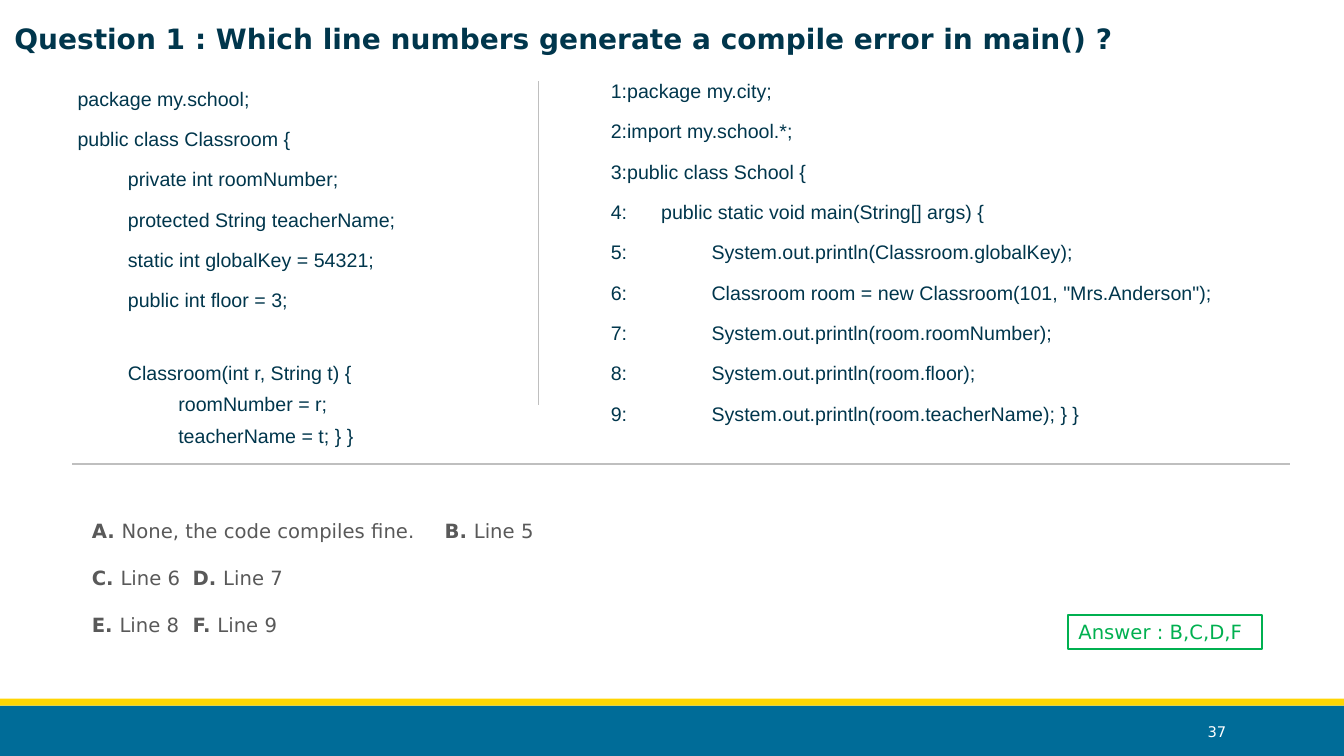
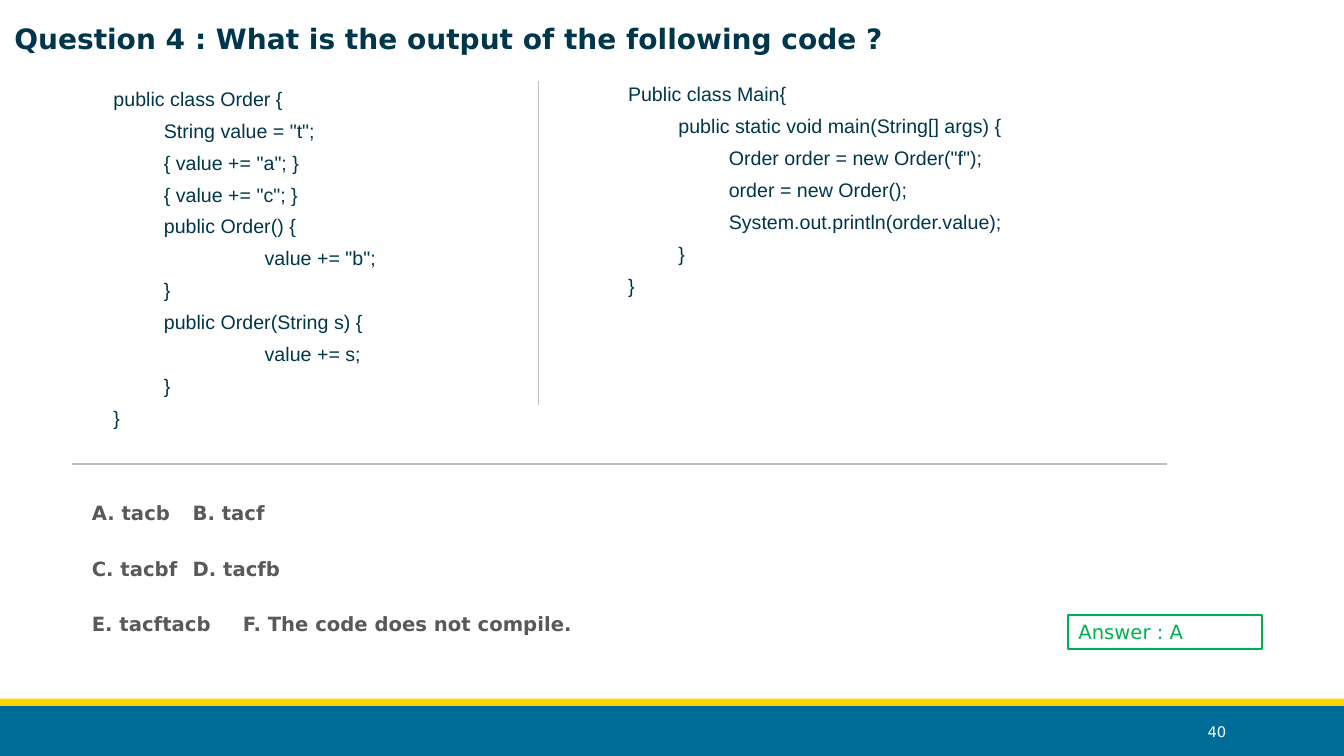
"""Build two quiz slides about Java code."""
from dataclasses import dataclass

import pptx
import pptx.dml.color
import pptx.enum.shapes
import pptx.enum.text
import pptx.oxml
import pptx.oxml.ns
import pptx.util
from lxml import etree

Pt = pptx.util.Pt
ALIGN = pptx.enum.text.PP_ALIGN
ANCHOR = pptx.enum.text.MSO_ANCHOR
RECTANGLE = pptx.enum.shapes.MSO_SHAPE.RECTANGLE
STRAIGHT = pptx.enum.shapes.MSO_CONNECTOR.STRAIGHT


@dataclass(frozen=True)
class Theme:
    """Colours, fonts and type sizes."""
    ink: str = "00364C"
    grey: str = "595959"
    rule: str = "BFBFBF"
    green: str = "00B050"
    blue: str = "006C98"
    yellow: str = "FFD503"
    white: str = "FFFFFF"
    sans: str = "DejaVu Sans"
    code: str = "Arial"
    title_size: float = 20
    body_size: float = 14
    number_size: float = 10.5


@dataclass(frozen=True)
class Box:
    """A rectangle in points."""
    left: float
    top: float
    width: float
    height: float

    def lengths(self):
        """Return the four sides as lengths."""
        return Pt(self.left), Pt(self.top), Pt(self.width), Pt(self.height)


THEME = Theme()
PAGE = Box(0, 0, 960, 540)
BANDS = ((Box(0, 504, 960, 36), THEME.blue), (Box(0, 499, 960, 5), THEME.yellow))
TITLE = Box(3, 12, 831, 32)
DIVIDER = Box(384.5, 58, 0, 231)
ANSWER = Box(763.2, 439.2, 138.5, 24.7)
NUMBER = Box(780, 508.5, 103, 28.5)
INDENT = 36


def rgb(value):
    """Return a colour from its hex digits."""
    return pptx.dml.color.RGBColor.from_string(value)


def add_span(para, text, *, size=THEME.body_size, colour=THEME.ink, font=THEME.sans, bold=False):
    """Add formatted text to a paragraph."""
    span = para.add_run()
    span.text = text
    span.font.size = Pt(size)
    span.font.name = font
    span.font.bold = bold
    span.font.color.rgb = rgb(colour)


def next_para(frame, *, gap=0, spacing=None, indent=0, tab=None):
    """Return a fresh paragraph with its spacing, indent and tab stop."""
    para = frame.paragraphs[0]
    if para.runs:
        para = frame.add_paragraph()
    para.space_before = Pt(gap)
    para.line_spacing = spacing
    properties = para._p.get_or_add_pPr()
    properties.set("marL", str(Pt(indent)))
    properties.set("indent", "0")
    if tab:
        stops = etree.SubElement(properties, pptx.oxml.ns.qn("a:tabLst"))
        etree.SubElement(stops, pptx.oxml.ns.qn("a:tab"), pos=str(Pt(tab)), algn="l")
    return para


def prepare(frame, anchor=ANCHOR.TOP):
    """Give a text frame the common insets, wrapping and anchor."""
    frame.word_wrap = True
    frame.auto_size = pptx.enum.text.MSO_AUTO_SIZE.NONE
    frame.vertical_anchor = anchor
    frame.margin_left = frame.margin_right = Pt(7.2)
    frame.margin_top = frame.margin_bottom = Pt(3.6)
    return frame


def add_frame(page, box, anchor=ANCHOR.TOP):
    """Add a text box and return its frame."""
    return prepare(page.shapes.add_textbox(*box.lengths()).text_frame, anchor)


def add_rectangle(page, box, fill=None, line=None):
    """Add a flat rectangle."""
    shape = page.shapes.add_shape(RECTANGLE, *box.lengths())
    shape.shadow.inherit = False
    if fill:
        shape.fill.solid()
        shape.fill.fore_color.rgb = rgb(fill)
    else:
        shape.fill.background()
    if line:
        shape.line.color.rgb = rgb(line)
        shape.line.width = Pt(1.5)
    else:
        shape.line.fill.background()
    return shape


def add_rule(page, box, width):
    """Draw a grey line from corner to corner of a box."""
    left, top, across, down = box.lengths()
    rule = page.shapes.add_connector(STRAIGHT, left, top, left + across, top + down)
    rule.line.color.rgb = rgb(THEME.rule)
    rule.line.width = Pt(width)
    etree.SubElement(rule.element.spPr, pptx.oxml.ns.qn("a:effectLst"))


def add_bands(page):
    """Place the bottom bands on the layout that the pages share."""
    tree = page.slide_layout.shapes.element
    for position, (box, colour) in enumerate(BANDS, start=2):
        tree.insert(position, add_rectangle(page, box, fill=colour).element)


def add_title(page, text):
    """Move, format and fill the title placeholder."""
    title = page.shapes.title
    title.left, title.top, title.width, title.height = TITLE.lengths()
    para = next_para(prepare(title.text_frame))
    para.alignment = ALIGN.LEFT
    add_span(para, text, size=THEME.title_size, bold=True)


def add_code(page, box, lines, tab=None):
    """Write code lines given as level, text and gap above."""
    frame = add_frame(page, box)
    for level, text, gap in lines:
        para = next_para(frame, gap=gap, indent=level * INDENT, tab=tab)
        add_span(para, text, font=THEME.code)


def add_options(page, box, rows, gap=0, bold=False):
    """Write rows of two lettered options, the second at a tab stop."""
    frame = add_frame(page, box)
    letters = iter("ABCDEF")
    for index, (first, second, tab) in enumerate(rows):
        para = next_para(frame, gap=gap if index else 0, spacing=2.0, tab=tab)
        for text in (first + "\t", second):
            add_span(para, next(letters) + ". ", colour=THEME.grey, bold=True)
            add_span(para, text, colour=THEME.grey, bold=bold)


def add_answer(page, letters):
    """Add the framed answer."""
    frame = prepare(add_rectangle(page, ANSWER, line=THEME.green).text_frame)
    para = next_para(frame)
    para.alignment = ALIGN.LEFT
    add_span(para, "Answer : " + letters, colour=THEME.green)


def add_number(page, number):
    """Add the page number on the bottom band."""
    para = next_para(add_frame(page, NUMBER, ANCHOR.MIDDLE))
    para.alignment = ALIGN.RIGHT
    add_span(para, str(number), size=THEME.number_size, colour=THEME.white)


def add_question(deck, title, answer, number, rule_width):
    """Add a page with the parts that every question has."""
    page = deck.slides.add_slide(deck.slide_layouts.get_by_name("Title Only"))
    add_title(page, title)
    add_rule(page, DIVIDER, 1)
    add_rule(page, Box(51.5, 331.2, rule_width, 0), 1.5)
    add_answer(page, answer)
    add_number(page, number)
    return page


def add_access_question(deck):
    """Add the question on access between classes."""
    page = add_question(deck, "Question 1 : Which line numbers generate a compile error in main() ?",
                        "B,C,D,F", 37, 870)
    add_code(page, Box(48.3, 58.3, 330, 270), (
        (0, "package my.school;", 0),
        (0, "public class Classroom {", 12),
        (1, "private int roomNumber;", 12),
        (1, "protected String teacherName;", 12),
        (1, "static int globalKey = 54321;", 12),
        (1, "public int floor = 3;", 12),
        (1, "Classroom(int r, String t) {", 34.8),
        (2, "roomNumber = r;", 6),
        (2, "teacherName = t; } }", 6),
    ))
    statements = (
        "package my.city;",
        "import my.school.*;",
        "public class School {",
        "\tpublic static void main(String[] args) {",
        "\t\tSystem.out.println(Classroom.globalKey);",
        "\t\tClassroom room = new Classroom(101, \"Mrs.Anderson\");",
        "\t\tSystem.out.println(room.roomNumber);",
        "\t\tSystem.out.println(room.floor);",
        "\t\tSystem.out.println(room.teacherName); } }",
    )
    add_code(page, Box(429.2, 52.8, 528, 257), [
        (0, f"{line}:{text}", 12 if line > 1 else 0) for line, text in enumerate(statements, start=1)
    ])
    add_options(page, Box(58.5, 350.5, 692, 120), (
        ("None, the code compiles fine.", "Line 5", 432),
        ("Line 6", "Line 7", 576),
        ("Line 8", "Line 9", 576),
    ))
    return page


def add_order_question(deck):
    """Add the question on the order of initialisation."""
    page = add_question(deck, "Question 4 : What is the output of the following code ?", "A", 40, 782)
    order_class = (
        (0, "public class Order {"),
        (1, "String value = \"t\";"),
        (1, "{ value += \"a\"; }"),
        (1, "{ value += \"c\"; }"),
        (1, "public Order() {"),
        (3, "value += \"b\";"),
        (1, "}"),
        (1, "public Order(String s) {"),
        (3, "value += s;"),
        (1, "}"),
        (0, "}"),
    )
    main_class = (
        (0, "Public class Main{"),
        (1, "public static void main(String[] args) {"),
        (2, "Order order = new Order(\"f\");"),
        (2, "order = new Order();"),
        (2, "System.out.println(order.value);"),
        (1, "}"),
        (0, "}"),
    )
    for box, lines in ((Box(74, 58.3, 305, 270), order_class), (Box(441.5, 55, 500, 170), main_class)):
        add_code(page, box, [(level, text, 6 if index else 0) for index, (level, text) in enumerate(lines)])
    add_options(page, Box(58.5, 337.7, 692, 122), (
        ("tacb", "tacf", 288),
        ("tacbf", "tacfb", 288),
        ("tacftacb", "The code does not compile.", 288),
    ), gap=6, bold=True)
    return page


def main():
    """Build and save the deck."""
    deck = pptx.Presentation()
    deck.slide_width, deck.slide_height = Pt(PAGE.width), Pt(PAGE.height)
    add_bands(add_access_question(deck))
    add_order_question(deck)
    deck.save("out.pptx")


if __name__ == "__main__":
    main()
